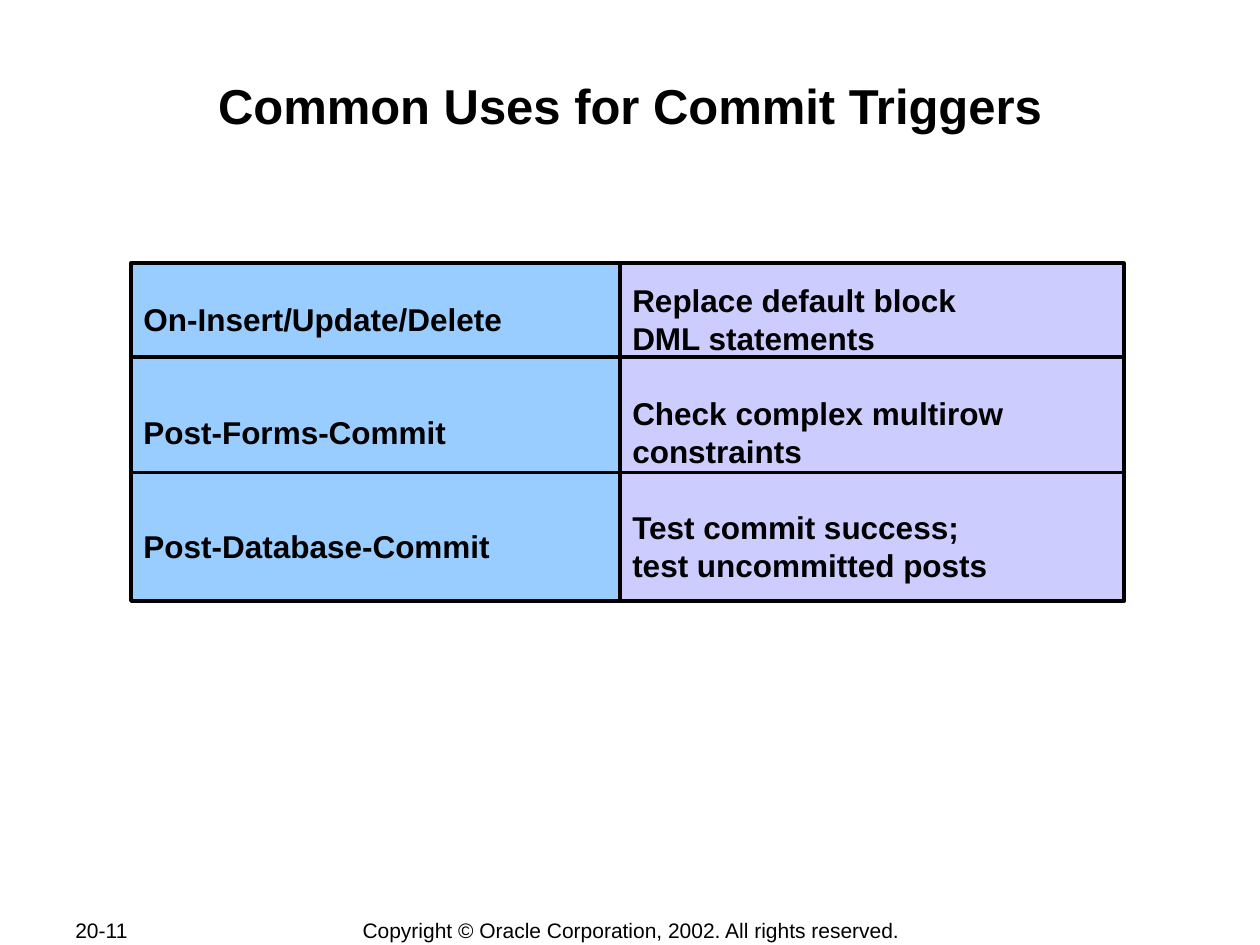
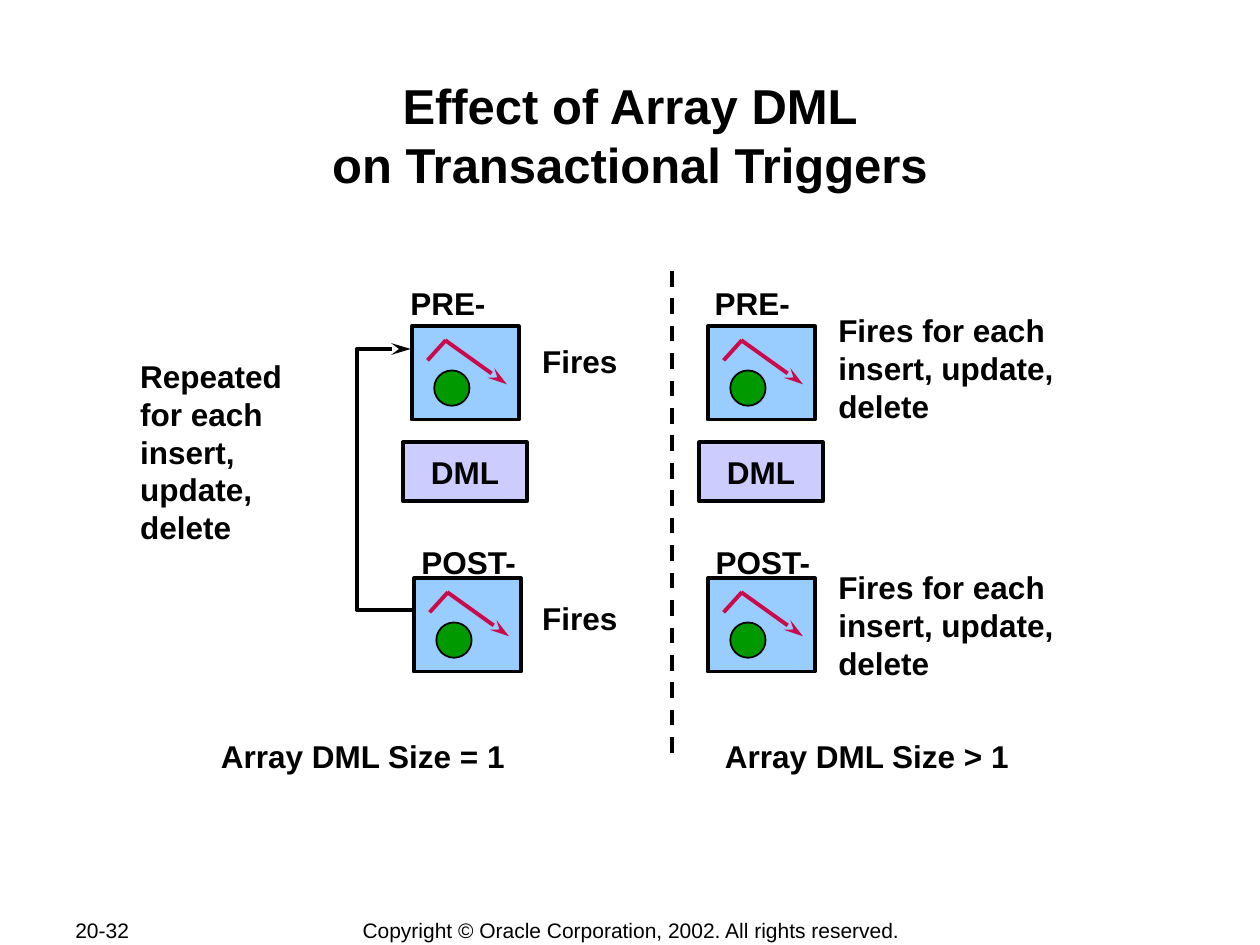
from collections import namedtuple
from lxml import etree
from pptx import Presentation, util as u
from pptx.dml.color import RGBColor
from pptx.enum import dml, shapes, text
from pptx.oxml.ns import qn

BLACK = RGBColor(0x00, 0x00, 0x00)
SKY = RGBColor(0x99, 0xCC, 0xFF)
LILAC = RGBColor(0xCC, 0xCC, 0xFF)
GREEN = RGBColor(0x00, 0x99, 0x00)
CRIMSON = RGBColor(0xCB, 0x0A, 0x4C)
FONT = "Arial"
LEADING = 1.2
WIDTH, HEIGHT = u.Inches(10), u.Inches(7.5)
COLUMN, ROW = WIDTH / 100, HEIGHT / 75
LEFT, CENTER = text.PP_ALIGN.LEFT, text.PP_ALIGN.CENTER
TOP, MIDDLE = text.MSO_ANCHOR.TOP, text.MSO_ANCHOR.MIDDLE
RECTANGLE, OVAL = shapes.MSO_SHAPE.RECTANGLE, shapes.MSO_SHAPE.OVAL

Box = namedtuple("Box", "left top width height")


def inside(box, left, top, width=0, height=0):
    return Box(box.left + left, box.top + top, width, height)


def emu(box):
    return (round(box.left * COLUMN), round(box.top * ROW),
            round(box.width * COLUMN), round(box.height * ROW))


def write(frame, words, size=18, bold=True, align=LEFT, anchor=TOP, lines_between=0):
    frame.word_wrap = True
    frame.vertical_anchor = anchor
    for index, line in enumerate(words.split("\n")):
        paragraph = frame.add_paragraph() if index else frame.paragraphs[0]
        paragraph.text = line
        paragraph.alignment = align
        paragraph.line_spacing = u.Pt(size * LEADING)
        if index:
            paragraph.space_before = u.Pt(size * LEADING * lines_between)
        for run in paragraph.runs:
            run.font.name = FONT
            run.font.size = u.Pt(size)
            run.font.bold = bold
            run.font.color.rgb = BLACK


def label(parent, box, words, inset=0.05, **style):
    frame = parent.add_textbox(*emu(box)).text_frame
    frame.margin_top = frame.margin_bottom = u.Inches(inset)
    write(frame, words, **style)


def outline(part, color=BLACK, weight=2.25, arrow=False):
    part.line.color.rgb = color
    part.line.width = u.Pt(weight)
    if arrow:
        etree.SubElement(part.line._get_or_add_ln(), qn("a:tailEnd"),
                         type="stealth", w="med", len="lg")


def block(parent, kind, box, fill, weight=2.25):
    part = parent.add_shape(kind, *emu(box))
    part.shadow.inherit = False
    part.fill.solid()
    part.fill.fore_color.rgb = fill
    outline(part, weight=weight)
    return part


def segment(parent, start, end, **style):
    left, top, _, _ = emu(start)
    right, bottom, _, _ = emu(end)
    line = parent.add_connector(shapes.MSO_CONNECTOR.STRAIGHT, left, top, right, bottom)
    etree.SubElement(line._element.spPr, qn("a:effectLst"))
    outline(line, **style)
    return line


def frame_slide(deck, title, page):
    canvas = deck.slides.add_slide(deck.slide_layouts[6]).shapes
    label(canvas, Box(5, 72.8, 10.6, 2), page, inset=0, size=12, bold=False,
          anchor=MIDDLE)
    label(canvas, Box(25.1, 72.8, 50, 2), inset=0, size=12, bold=False, align=CENTER,
          anchor=MIDDLE,
          words="Copyright © Oracle Corporation, 2002. All rights reserved.")
    label(canvas, Box(10, 6, 80, 9.6), title, inset=0, size=28, align=CENTER)
    return canvas


def uses_grid(canvas, box):
    triggers = "On-Insert/Update/Delete\nPost-Forms-Commit\nPost-Database-Commit"
    uses = ("Replace default block\vDML statements\n"
            "Check complex multirow\vconstraints\n"
            "Test commit success;\vtest uncommitted posts")
    panels = ((triggers, 0, 42.4, SKY, 2), (uses, 38.8, 40, LILAC, 1))
    for words, left, width, fill, lines_between in panels:
        panel = block(canvas, RECTANGLE, inside(box, left, 0, width, box.height), fill)
        write(panel.text_frame, words, anchor=MIDDLE, lines_between=lines_between)
    for drop in (7.4, 16.6):
        segment(canvas, inside(box, 0, drop), inside(box, box.width, drop))


def trigger_icon(canvas, box):
    icon = canvas.add_group_shape().shapes
    block(icon, RECTANGLE, box, SKY)
    block(icon, OVAL, inside(box, 1.78, 3.5, 2.8, 2.8), GREEN, 1)
    segment(icon, inside(box, 2.7, 1.1), inside(box, 1.25, 2.7), color=CRIMSON)
    segment(icon, inside(box, 2.65, 1.1), inside(box, 7.55, 4.6), color=CRIMSON,
            arrow=True)


def trigger_flow(canvas, box, note, note_top, name_shifts, icon_shifts):
    stages = zip(("PRE-", "POST-"), name_shifts, icon_shifts,
                 (0.05, 20.6), (0, 20.4), (0, 20))
    for name, name_shift, icon_shift, name_drop, note_drop, icon_drop in stages:
        label(canvas, inside(box, name_shift, name_drop, 10.7, 4), name, align=CENTER)
        trigger_icon(canvas, inside(box, icon_shift, 3.9 + icon_drop, 8.5, 7.4))
        label(canvas, inside(box, 10.05, note_top + note_drop, 21, 10), note)
    statement = block(canvas, RECTANGLE, inside(box, 0, 13.1, 9.8, 4.7), LILAC)
    write(statement.text_frame, "DML", align=CENTER, anchor=MIDDLE)


def repeat_loop(canvas, box):
    label(canvas, inside(box, -18.15, 0.15, 16, 16),
          "Repeated\nfor each\ninsert,\nupdate,\ndelete")
    corners = ((4.5, box.height), (0, box.height), (0, 0), (4.3, 0))
    start, *rest = [emu(inside(box, *corner))[:2] for corner in corners]
    builder = canvas.build_freeform(*start)
    builder.add_line_segments(rest, close=False)
    loop = builder.convert_to_shape()
    loop.shadow.inherit = False
    loop.fill.background()
    outline(loop, arrow=True)


def array_comparison(canvas, box):
    divider = segment(canvas, inside(box, 21.35, -0.5), inside(box, 21.35, 38.4))
    divider.line.dash_style = dml.MSO_LINE.DASH
    repeat_loop(canvas, inside(box, -3.7, 5.7, 4.5, 20.7))
    trigger_flow(canvas, box, "Fires", 4.68, (-1.8, -0.15), (0.68, 0.85))
    trigger_flow(canvas, inside(box, 23.5, 0),
                 "Fires for each\ninsert, update,\vdelete", 2.22, (-1.15, -0.3),
                 (0.68, 0.68))
    for left, size in ((-15.45, "= 1"), (24.55, "> 1")):
        label(canvas, inside(box, left, 36, 27, 4), f"Array DML Size {size}")


def main():
    deck = Presentation()
    deck.slide_width, deck.slide_height = WIDTH, HEIGHT
    uses = frame_slide(deck, "Common Uses for Commit Triggers", "20-11")
    uses_grid(uses, Box(10.4, 20.9, 78.8, 26.8))
    effect = frame_slide(deck, "Effect of Array DML\von Transactional Triggers", "20-32")
    array_comparison(effect, Box(32, 22, 57, 40))
    deck.save("out.pptx")


if __name__ == "__main__":
    main()
